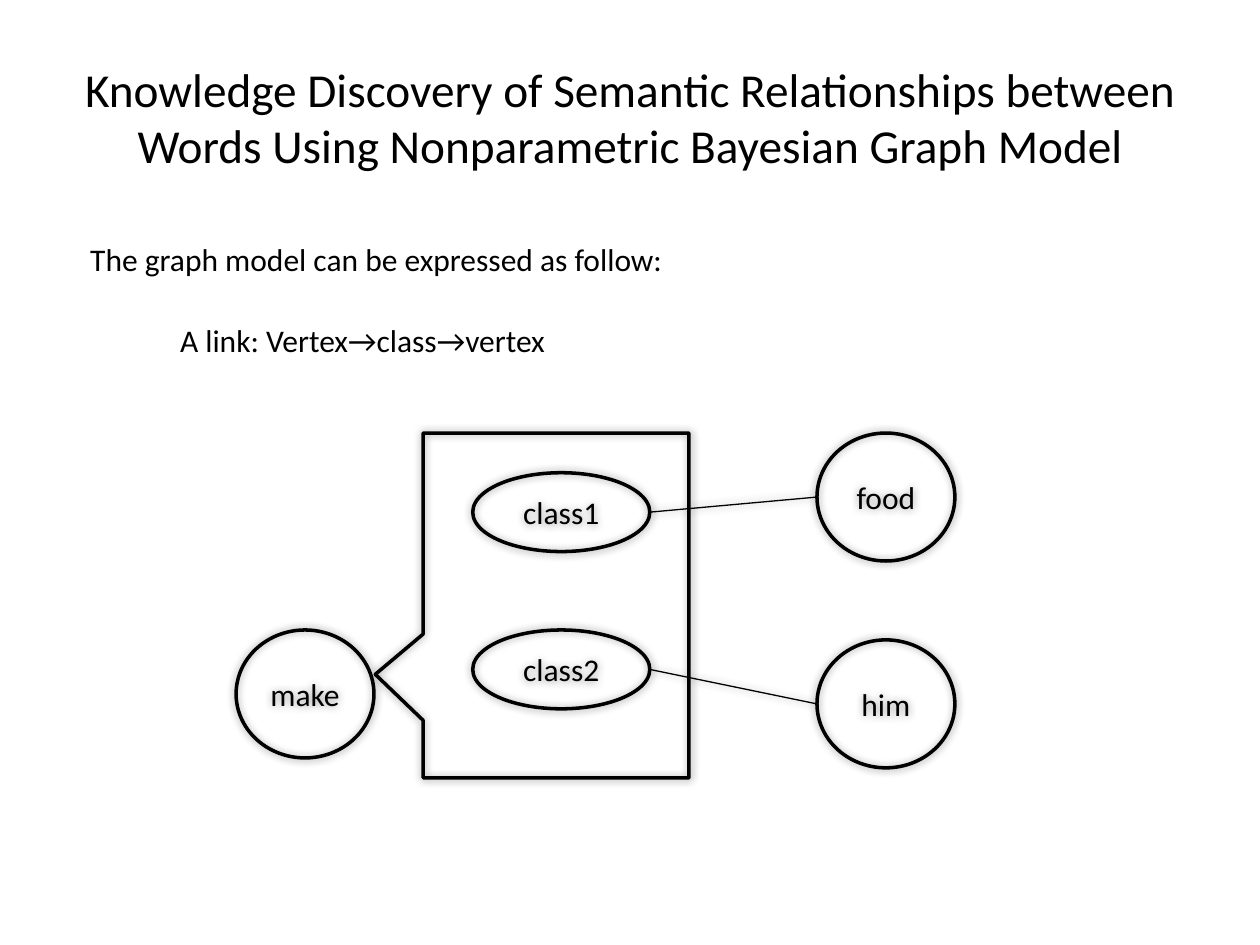
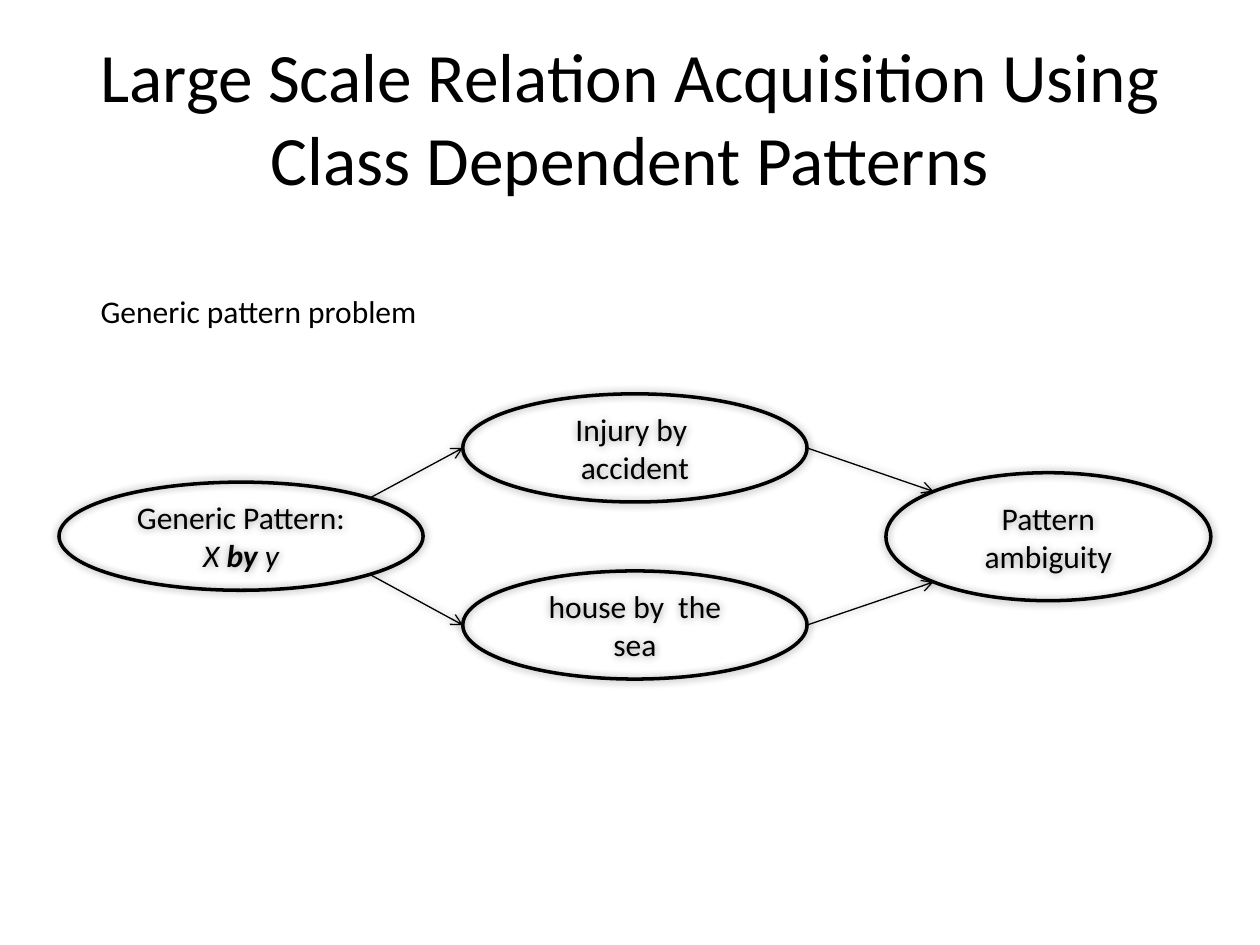
from math import sqrt

from pptx import Presentation
from pptx.dml.color import RGBColor
from pptx.enum.shapes import MSO_CONNECTOR, MSO_SHAPE
from pptx.enum.text import MSO_ANCHOR, PP_ALIGN
from pptx.oxml import parse_xml
from pptx.oxml.ns import nsdecls
from pptx.util import Cm, Pt

ELLIPSE = MSO_SHAPE.OVAL
CALLOUT = MSO_SHAPE.RECTANGULAR_CALLOUT
STRAIGHT = MSO_CONNECTOR.STRAIGHT
CENTER, LEFT = PP_ALIGN.CENTER, PP_ALIGN.LEFT
MIDDLE, TOP = MSO_ANCHOR.MIDDLE, MSO_ANCHOR.TOP
COLORS = {"ink": "000000", "background": "FFFFFF"}
INK = RGBColor.from_string(COLORS["ink"])
FONT = "Calibri"
SHADOW = (
    f'<a:effectLst {nsdecls("a")}><a:outerShdw blurRad="63500" dist="0" dir="0" '
    f'rotWithShape="0"><a:srgbClr val="{COLORS["ink"]}"><a:alpha val="40000"/>'
    "</a:srgbClr></a:outerShdw></a:effectLst>"
)
ARROWHEAD = f'<a:tailEnd {nsdecls("a")} type="arrow"/>'


def write(shape, paragraphs, size=18, align=CENTER, anchor=MIDDLE, wrap=True):
    tf = shape.text_frame
    tf.word_wrap = wrap
    tf.vertical_anchor = anchor
    for i, runs in enumerate(paragraphs):
        p = tf.add_paragraph() if i else tf.paragraphs[0]
        p.alignment = align
        for text, bold, italic in runs:
            r = p.add_run()
            r.text = text
            r.font.name = FONT
            r.font.size = Pt(size)
            r.font.bold = bold
            r.font.italic = italic
            r.font.color.rgb = INK


def outline(shape, width, arrow=False):
    shape.line.color.rgb = INK
    shape.line.width = Pt(width)
    if arrow:
        shape.line._get_or_add_ln().append(parse_xml(ARROWHEAD))
    shape.element.spPr.append(parse_xml(SHADOW))


prs = Presentation()
prs.slide_width = Cm(25.4)
prs.slide_height = Cm(19.05)

VERTEX_W, VERTEX_H = 2.78, 2.58
CLASS_X, CLASS_W, CLASS_H = 9.53, 3.57, 1.59
VERTEX_X = 16.47
links = [("class1", 9.53, "food", 8.73), ("class2", 12.7, "him", 12.9)]
graph_ellipses = [("make", 4.76, 12.7, VERTEX_W, VERTEX_H)]
graph_lines = []
for class_name, class_y, vertex, vertex_y in links:
    graph_ellipses += [
        (class_name, CLASS_X, class_y, CLASS_W, CLASS_H),
        (vertex, VERTEX_X, vertex_y, VERTEX_W, VERTEX_H),
    ]
    graph_lines.append(
        (CLASS_X + CLASS_W, class_y + CLASS_H / 2, VERTEX_X, vertex_y + VERTEX_H / 2)
    )

EXAMPLE_X, EXAMPLE_W, PATTERN_H = 9.33, 6.94, 2.18
GENERIC_X, GENERIC_Y, GENERIC_W = 1.19, 9.72, 7.34
AMBIGUITY_X, AMBIGUITY_Y, AMBIGUITY_W, AMBIGUITY_H = 17.86, 9.53, 6.55, 2.58
DIAGONAL = sqrt(0.5)
pattern_ellipses = [
    (None, GENERIC_X, GENERIC_Y, GENERIC_W, PATTERN_H),
    ("Pattern ambiguity", AMBIGUITY_X, AMBIGUITY_Y, AMBIGUITY_W, AMBIGUITY_H),
]
pattern_lines = []
for text, y, side in [("Injury by  accident", 7.94, -1), ("house by  the sea", 11.51, 1)]:
    pattern_ellipses.append((text, EXAMPLE_X, y, EXAMPLE_W, PATTERN_H))
    middle = y + PATTERN_H / 2
    pattern_lines += [
        (
            GENERIC_X + GENERIC_W / 2 * (1 + DIAGONAL),
            GENERIC_Y + PATTERN_H / 2 * (1 + side * DIAGONAL),
            EXAMPLE_X,
            middle,
        ),
        (
            EXAMPLE_X + EXAMPLE_W,
            middle,
            AMBIGUITY_X + AMBIGUITY_W / 2 * (1 - DIAGONAL),
            AMBIGUITY_Y + AMBIGUITY_H / 2 * (1 + side * DIAGONAL),
        ),
    ]

GENERIC_TEXT = [
    [("Generic Pattern:", False, False)],
    [("X ", False, True), ("by", True, True), (" y", False, True)],
]
slides = [
    {
        "title": "Knowledge Discovery of Semantic Relationships between "
        "Words Using Nonparametric Bayesian Graph Model",
        "size": 27,
        "notes": [
            ("The graph model can be expressed as follow:", 1.57, 4.72, 12.19),
            ("A link: Vertex→class→vertex", 3.38, 6.35, 8.05),
        ],
        "callout": (8.53, 8.73, 5.36, 6.95),
        "ellipses": graph_ellipses,
        "lines": graph_lines,
        "arrow": False,
    },
    {
        "title": "Large Scale Relation Acquisition Using Class Dependent Patterns",
        "size": 39.6,
        "notes": [("Generic pattern problem", 1.78, 5.77, 6.99)],
        "callout": None,
        "ellipses": pattern_ellipses,
        "lines": pattern_lines,
        "arrow": True,
    },
]

for content in slides:
    s = prs.slides.add_slide(prs.slide_layouts[6])
    s.background.fill.solid()
    s.background.fill.fore_color.rgb = RGBColor.from_string(COLORS["background"])
    title = s.shapes.add_textbox(Cm(1.27), Cm(0.76), Cm(22.86), Cm(3.18))
    write(title, [[(content["title"], False, False)]], content["size"])

    diagram = s.shapes.add_group_shape().shapes
    if content["callout"]:
        callout = diagram.add_shape(CALLOUT, *map(Cm, content["callout"]))
        callout.adjustments[0] = -0.68
        callout.adjustments[1] = 0.2
        callout.fill.background()
        outline(callout, 2)
    for text, *box in content["ellipses"]:
        sp = diagram.add_shape(ELLIPSE, *map(Cm, box))
        sp.fill.background()
        outline(sp, 2)
        write(sp, [[(text, False, False)]] if text else GENERIC_TEXT)
    for ends in content["lines"]:
        line = diagram.add_connector(STRAIGHT, *map(Cm, ends))
        outline(line, 0.75, content["arrow"])

    for text, x, y, width in content["notes"]:
        note = s.shapes.add_textbox(Cm(x), Cm(y), Cm(width), Cm(1.02))
        write(note, [[(text, False, False)]], align=LEFT, anchor=TOP, wrap=False)

prs.save("out.pptx")
